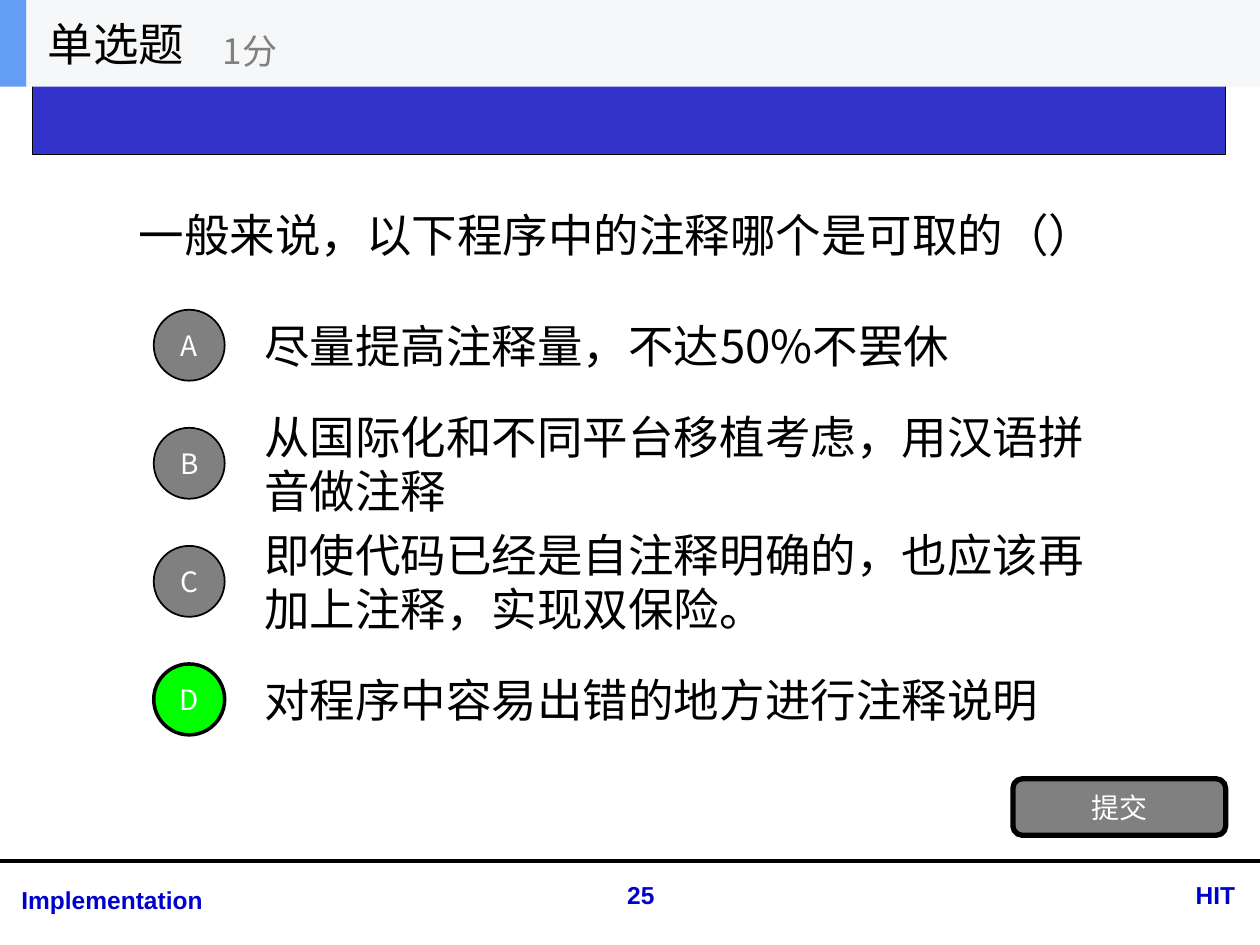
from dataclasses import dataclass

import pptx
import pptx.dml.color
import pptx.enum.shapes
import pptx.enum.text
import pptx.oxml.ns
import pptx.util
from lxml import etree

Cm = pptx.util.Cm
Pt = pptx.util.Pt
RGBColor = pptx.dml.color.RGBColor
Align = pptx.enum.text.PP_ALIGN
Shape = pptx.enum.shapes.MSO_SHAPE
qn = pptx.oxml.ns.qn

BLACK = RGBColor(0x00, 0x00, 0x00)
WHITE = RGBColor(0xFF, 0xFF, 0xFF)
GRAY = RGBColor(0x80, 0x80, 0x80)
GREEN = RGBColor(0x00, 0xFF, 0x00)
BAND_BLUE = RGBColor(0x33, 0x33, 0xCC)
FOOTER_BLUE = RGBColor(0x00, 0x00, 0xCC)
HEADER_GRAY = RGBColor(0xF6, 0xF7, 0xF8)
ACCENT_BLUE = RGBColor(0x63, 0x9E, 0xF4)

CJK = "Noto Sans CJK SC"
LATIN = "Arial"


@dataclass
class Box:
    """Position and size in centimetres."""
    left: float
    top: float
    width: float
    height: float

    def lengths(self) -> tuple:
        return Cm(self.left), Cm(self.top), Cm(self.width), Cm(self.height)


@dataclass
class Style:
    size: float
    color: RGBColor
    font: str = CJK
    bold: bool = False
    align: Align = Align.LEFT


@dataclass
class Option:
    letter: str
    text: str
    correct: bool = False


@dataclass
class Footer:
    text: str
    box: Box
    align: Align


BODY = Style(26, BLACK)
BUTTON = Style(16, WHITE, align=Align.CENTER)

OPTIONS = [
    Option("A", "尽量提高注释量，不达50%不罢休"),
    Option("B", "从国际化和不同平台移植考虑，用汉语拼音做注释"),
    Option("C", "即使代码已经是自注释明确的，也应该再加上注释，实现双保险。"),
    Option("D", "对程序中容易出错的地方进行注释说明", correct=True),
]
OPTION_TOP, OPTION_PITCH, OPTION_HEIGHT = 6.07, 2.38, 1.78
CIRCLE = 1.43

FOOTERS = [
    Footer("Implementation", Box(0.18, 17.7, 9.78, 0.86), Align.LEFT),
    Footer("HIT", Box(22.53, 17.6, 2.62, 0.86), Align.RIGHT),
    Footer("25", Box(11.61, 17.6, 2.62, 0.86), Align.CENTER),
]


def set_text(sp, text: str, style: Style) -> None:
    tf = sp.text_frame
    tf.text = text
    tf.word_wrap = True
    tf.auto_size = pptx.enum.text.MSO_AUTO_SIZE.NONE
    tf.vertical_anchor = pptx.enum.text.MSO_ANCHOR.MIDDLE
    p = tf.paragraphs[0]
    p.alignment = style.align
    r = p.runs[0]
    r.font.size = Pt(style.size)
    r.font.bold = style.bold
    r.font.color.rgb = style.color
    r.font.name = style.font
    ea = etree.SubElement(r.font._element, qn("a:ea"))
    ea.set("typeface", style.font)


def add_text(shapes, box: Box, text: str, style: Style):
    sp = shapes.add_textbox(*box.lengths())
    set_text(sp, text, style)
    return sp


def add_shape(shapes, kind: Shape, box: Box, fill: RGBColor, line: float = 0):
    sp = shapes.add_shape(kind, *box.lengths())
    sp.shadow.inherit = False
    sp.fill.solid()
    sp.fill.fore_color.rgb = fill
    if line:
        sp.line.color.rgb = BLACK
        sp.line.width = Pt(line)
    else:
        sp.line.fill.background()
    return sp


def add_option(shapes, index: int, option: Option) -> None:
    top = OPTION_TOP + index * OPTION_PITCH
    add_text(shapes, Box(5.08, top, 17.78, OPTION_HEIGHT), option.text, BODY)
    circle_box = Box(3.1, top + (OPTION_HEIGHT - CIRCLE) / 2, CIRCLE, CIRCLE)
    fill, line = (GREEN, 2) if option.correct else (GRAY, 1)
    sp = add_shape(shapes, Shape.OVAL, circle_box, fill, line)
    sp.text_frame.margin_left = sp.text_frame.margin_right = 0
    set_text(sp, option.letter, BUTTON)


def add_rule(shapes, y: float, width: float) -> None:
    line = shapes.add_connector(
        pptx.enum.shapes.MSO_CONNECTOR.STRAIGHT, 0, Cm(y), Cm(width), Cm(y))
    line.line.color.rgb = BLACK
    line.line.width = Pt(2.25)
    etree.SubElement(line._element.spPr, qn("a:effectLst"))


def main() -> None:
    prs = pptx.Presentation()
    prs.slide_width, prs.slide_height = Cm(25.4), Cm(19.05)
    s = prs.slides.add_slide(prs.slide_layouts[5])

    # Question
    title = s.shapes.title
    title.left, title.top, title.width, title.height = Box(
        2.54, 1.75, 20.32, 5.94).lengths()
    set_text(title, "一般来说，以下程序中的注释哪个是可取的（）", BODY)

    # Band and footer
    add_shape(s.shapes, Shape.RECTANGLE, Box(0.66, 0.81, 24.05, 2.31), BAND_BLUE, 0.75)
    add_rule(s.shapes, 17.35, 25.4)
    for footer in FOOTERS:
        add_text(s.shapes, footer.box, footer.text,
                 Style(14, FOOTER_BLUE, LATIN, True, footer.align))

    # Options and submit button
    for index, option in enumerate(OPTIONS):
        add_option(s.shapes, index, option)
    submit = add_shape(s.shapes, Shape.ROUNDED_RECTANGLE,
                       Box(20.42, 15.7, 4.29, 1.14), GRAY, 3)
    set_text(submit, "提交", BUTTON)

    # Question type header
    header = s.shapes.add_group_shape().shapes
    add_shape(header, Shape.RECTANGLE, Box(0, 0, 25.4, 1.75), HEADER_GRAY)
    add_shape(header, Shape.RECTANGLE, Box(0, 0, 0.53, 1.75), ACCENT_BLUE)
    add_text(header, Box(0.71, 0, 5.28, 1.75), "单选题", BODY)
    add_text(header, Box(4.24, 0.3, 6.35, 1.42), "1分", Style(20, GRAY))

    prs.save("out.pptx")


if __name__ == "__main__":
    main()
